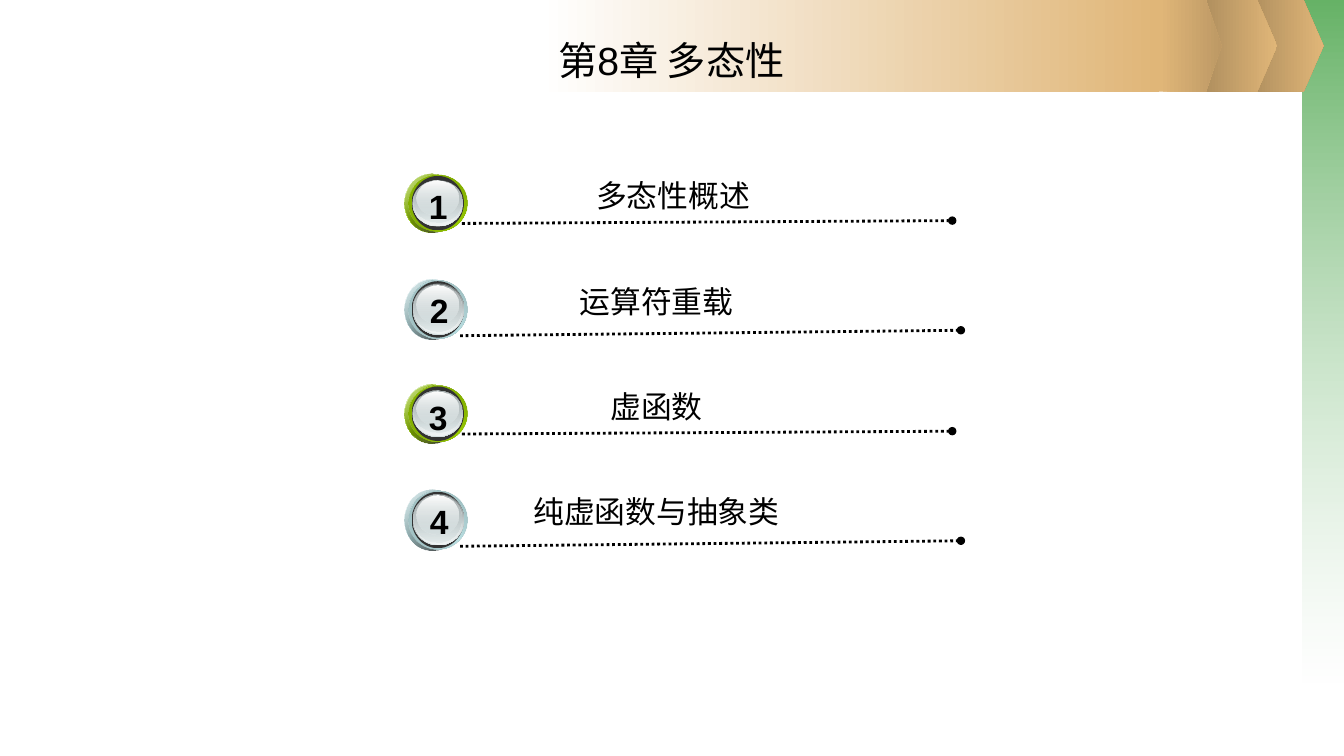
from dataclasses import dataclass

from lxml import etree
from pptx import Presentation
from pptx.dml.color import RGBColor
from pptx.enum.dml import MSO_LINE
from pptx.enum.shapes import MSO_CONNECTOR, MSO_SHAPE
from pptx.enum.text import MSO_ANCHOR, MSO_AUTO_SIZE, PP_ALIGN
from pptx.oxml.ns import qn
from pptx.util import Pt

RECT, PENTAGON, OVAL = MSO_SHAPE.RECTANGLE, MSO_SHAPE.PENTAGON, MSO_SHAPE.OVAL
STRAIGHT = MSO_CONNECTOR.STRAIGHT
DOTTED = MSO_LINE.ROUND_DOT
CENTER, MIDDLE = PP_ALIGN.CENTER, MSO_ANCHOR.MIDDLE
NO_AUTOFIT = MSO_AUTO_SIZE.NONE


@dataclass(frozen=True)
class Theme:
    """Colours, font and type sizes of the deck."""
    font: str = "Arial"
    title: int = 28
    label: int = 22
    number: int = 24
    ink: str = "000000"
    white: str = "FFFFFF"
    green: str = "339933"
    gold: str = "E0B678"
    gold_mid: str = "BD9965"
    gold_dark: str = "AB8B5C"
    ring: str = "333333"
    steel_dark: str = "636869"
    steel_mid: str = "AAB2B3"
    steel: str = "D6E1E2"
    steel_light: str = "F1F5F5"


@dataclass(frozen=True)
class RowStyle:
    """Rim colours and part boxes of a row, relative to its badge corner."""
    color: str
    shade: str
    edge: str
    halo: tuple
    rim: tuple
    ring: tuple
    face: tuple
    sheen: tuple
    inner: tuple
    gloss: tuple
    number: tuple
    leader: tuple


T = Theme()
LIME = RowStyle("99CC00", "7EA700", "759C00",
                halo=(0, 0, 38.2, 41.8), rim=(2.9, 0.7, 41.8, 40.3),
                ring=(5, 1.4, 37.4, 38.9), face=(5.8, 4.3, 36, 33.1),
                sheen=(6, 4.3, 35.3, 32.4), inner=(6.5, 4.3, 33.8, 30.2),
                gloss=(8.6, 5, 30.2, 24.5), number=(10.8, 5, 26.6, 36),
                leader=(41, 35.3, 391.2, 33.3))
AQUA = RowStyle("BBE0E3", "9AB8BA", "8FACAE",
                halo=(0, 0, 38.9, 43.2), rim=(2.9, 0.7, 41.8, 41.8),
                ring=(5, 1.4, 37.4, 40.3), face=(5.8, 2.9, 36.7, 36.7),
                sheen=(6.5, 2.9, 35.3, 36), inner=(6.5, 3.6, 33.8, 33.8),
                gloss=(8.6, 4.3, 30.2, 27.4), number=(11.5, 4.3, 26.6, 36),
                leader=(39.6, 40.3, 397.4, 36.4))
ROWS = [("多态性概述", LIME, 371.5), ("运算符重载", AQUA, 347.8),
        ("虚函数", LIME, 347.8), ("纯虚函数与抽象类", AQUA, 347.8)]


def gradient(sp, angle, *stops):
    """Fill a shape with a linear gradient of (position, colour, opacity) stops."""
    sp.fill.gradient()
    grad = sp.element.spPr.find(qn("a:gradFill"))
    for child in list(grad):
        grad.remove(child)
    gs_lst = etree.SubElement(grad, qn("a:gsLst"))
    for pos, color, opacity in stops:
        gs = etree.SubElement(gs_lst, qn("a:gs"), pos=str(pos * 1000))
        clr = etree.SubElement(gs, qn("a:srgbClr"), val=color)
        if opacity < 100:
            etree.SubElement(clr, qn("a:alpha"), val=str(opacity * 1000))
    etree.SubElement(grad, qn("a:lin"), ang=str(angle * 60000), scaled="0")


def add_plain(shapes, kind, box):
    """Add a shape with neither outline nor shadow."""
    sp = shapes.add_shape(kind, *map(Pt, box))
    sp.shadow.inherit = False
    sp.line.fill.background()
    return sp


def write(sp, text, size, bold=False):
    """Put centred text into a shape."""
    tf = sp.text_frame
    tf.text = text
    tf.word_wrap = True
    tf.auto_size = NO_AUTOFIT
    tf.vertical_anchor = MIDDLE
    tf.margin_left = tf.margin_right = tf.margin_top = tf.margin_bottom = 0
    p = tf.paragraphs[0]
    p.alignment = CENTER
    font = p.runs[0].font
    font.name, font.size, font.bold = T.font, Pt(size), bold
    font.color.rgb = RGBColor.from_string(T.ink)


def add_banner(s, width):
    """Draw the green side strip and the gold header arrows."""
    strip = add_plain(s.shapes, RECT, (width - 29.8, 0, 29.8, 487.4))
    gradient(strip, 90, (0, T.green, 75), (100, T.white, 37))
    parts = [(PENTAGON, 888.5, 56.9, T.gold_dark, T.gold),
             (PENTAGON, 855.4, 56.9, T.gold_dark, T.gold),
             (RECT, 385.9, 442.1, T.white, T.gold),
             (PENTAGON, 828, 44.6, T.gold, T.gold_mid)]
    for kind, left, w, start, end in parts:
        sp = add_plain(s.shapes, kind, (left, 0, w, 65.5))
        if kind == PENTAGON:
            sp.adjustments[0] = 0.25
        gradient(sp, 0, (0, start, 100), (100, end, 100))


def add_title(s, box, text):
    """Place the title placeholder in front of the banner."""
    title = s.shapes.title
    title.left, title.top, title.width, title.height = map(Pt, box)
    write(title, text, T.title)
    title.element.getparent().append(title.element)


def add_badge(s, x, y, number, style):
    """Stack the ellipses of a round badge and number it."""
    shapes = s.shapes.add_group_shape().shapes
    c = style.color
    layers = [
        (style.halo, 45, ((0, T.white, 100), (50, c, 100), (100, T.white, 100))),
        (style.halo, 45, ((0, c, 32), (100, T.ink, 90))),
        (style.rim, 315, ((0, style.edge, 100), (50, c, 100), (100, style.edge, 100))),
        (style.rim, 45, ((0, style.shade, 100), (100, c, 0))),
        (style.ring, 0, ((0, T.ring, 100), (100, T.ring, 100))),
        (style.face, 90, ((0, T.steel_dark, 100), (100, T.steel, 100))),
        (style.sheen, 90, ((0, T.steel, 0), (100, T.steel_light, 100))),
        (style.inner, 90, ((0, T.steel_mid, 100), (100, T.steel, 48))),
        (style.gloss, 90, ((0, T.white, 100), (100, T.steel, 38))),
    ]
    for (dx, dy, w, h), angle, stops in layers:
        gradient(add_plain(shapes, OVAL, (x + dx, y + dy, w, h)), angle, *stops)
    dx, dy, w, h = style.number
    write(shapes.add_textbox(Pt(x + dx), Pt(y + dy), Pt(w), Pt(h)),
          str(number), T.number, True)


def add_leader(s, x, y, style):
    """Draw the dotted line that ends in a dot."""
    x1, y1, x2, y2 = style.leader
    line = s.shapes.add_connector(STRAIGHT, Pt(x + x1), Pt(y + y1), Pt(x + x2), Pt(y + y2))
    line.line.color.rgb = RGBColor.from_string(T.ink)
    line.line.width = Pt(2)
    line.line.dash_style = DOTTED
    etree.SubElement(line.line._get_or_add_ln(), qn("a:tailEnd"), type="oval")
    etree.SubElement(line.element.spPr, qn("a:effectLst"))


def add_agenda(s, x, y, pitch):
    """List the numbered sections at an even pitch."""
    for i, (text, style, width) in enumerate(ROWS):
        top = y + i * pitch
        add_leader(s, x, top, style)
        add_badge(s, x, top, i + 1, style)
        label = s.shapes.add_textbox(Pt(x + 6), Pt(top - 1.5), Pt(width), Pt(33.8))
        write(label, text, T.label)


def main():
    """Build the chapter slide and save it."""
    prs = Presentation()
    prs.slide_width, prs.slide_height = Pt(960), Pt(540)
    s = prs.slides.add_slide(prs.slide_layouts[5])
    add_banner(s, 960)
    add_title(s, (122.4, 20.2, 714.2, 44.6), "第8章 多态性")
    add_agenda(s, 289, 124.3, 75.2)
    prs.save("out.pptx")


if __name__ == "__main__":
    main()
